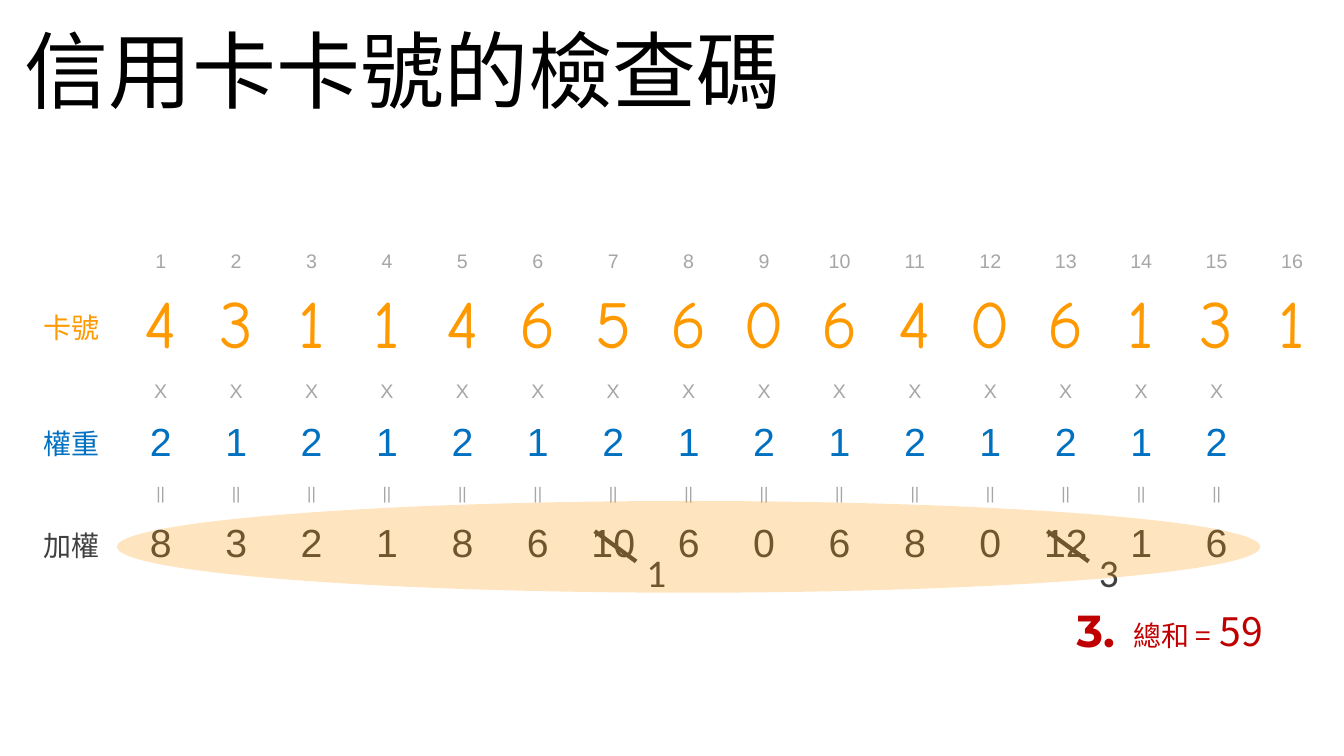
"""Build the slide on the check digit of a credit card number."""
from lxml import etree
from pptx import Presentation
from pptx.dml.color import RGBColor
from pptx.enum import shapes, text
from pptx.oxml.ns import qn
from pptx.util import Inches, Pt

COLORS = dict(black="000000", gray="A6A6A6", orange="FF9900", blue="0070C0",
              dark="404040", red="C00000")
CJK, SANS = "Noto Sans CJK SC", "Arial"

TITLE = "信用卡卡號的檢查碼"
DIGITS = [4, 3, 1, 1, 4, 6, 5, 6, 0, 6, 4, 0, 6, 1, 3, 1]
COUNT = len(DIGITS) - 1
WEIGHTS = [2 - i % 2 for i in range(COUNT)]
SCORES = [d * w for d, w in zip(DIGITS, WEIGHTS)]
SUMS = [s // 10 + s % 10 for s in SCORES]

ROWS = [
    ("", range(1, len(DIGITS) + 1), 14, SANS, "gray", 0.41),
    ("卡號", DIGITS, 48, "Comic Neue", "orange", 0.88),
    ("", ["X"] * COUNT, 14, SANS, "gray", 0.41),
    ("權重", WEIGHTS, 28, SANS, "blue", 0.6),
    ("", ["||"] * COUNT, 12, SANS, "gray", 0.41),
    ("加權", SCORES, 28, SANS, "dark", 0.6),
]
LEFT, TOP, WIDTH, HEAD = 0.19, 2.39, 13, 1.03
STEP = (WIDTH - HEAD) / len(DIGITS)


def style(font, size, name, color, bold=False):
    font.size, font.name, font.bold = Pt(size), name, bold
    font.color.rgb = RGBColor.from_string(COLORS[color])
    if name == CJK:
        latin = font._element.find(qn("a:latin"))
        east = etree.Element(qn("a:ea"), typeface=name)
        latin.addnext(east)


def label(slide, box, words, look, align=text.PP_ALIGN.CENTER):
    frame = slide.shapes.add_textbox(*map(Inches, box)).text_frame
    frame.word_wrap = True
    para = frame.paragraphs[0]
    para.text, para.alignment = words, align
    style(para.font, *look)
    return para


def add_grid(slide):
    tall = sum(row[-1] for row in ROWS)
    grid = slide.shapes.add_table(len(ROWS), len(DIGITS) + 1, Inches(LEFT),
                                  Inches(TOP), Inches(WIDTH), Inches(tall)).table
    grid.first_row = grid.horz_banding = False
    for i, col in enumerate(grid.columns):
        col.width = Inches(STEP if i else HEAD)
    for r, (name, values, size, face, color, high) in enumerate(ROWS):
        grid.rows[r].height = Inches(high)
        words = [name, *map(str, values)]
        for c in range(len(DIGITS) + 1):
            cell = grid.cell(r, c)
            cell.fill.background()
            cell.vertical_anchor = text.MSO_ANCHOR.MIDDLE
            para = cell.text_frame.paragraphs[0]
            para.alignment = text.PP_ALIGN.CENTER
            if c < len(words) and words[c]:
                para.text = words[c]
                look = (size, face, color) if c else (20, CJK, color)
                style(para.font, *look)


def add_strike(slide, col):
    x, y = LEFT + HEAD + STEP * col, 5.27
    line = slide.shapes.add_connector(
        shapes.MSO_CONNECTOR.STRAIGHT,
        *map(Inches, (x + 0.19, y, x + 0.6, y + 0.3)))
    line.line.width = Pt(3)
    line.line.color.rgb = RGBColor.from_string(COLORS["dark"])
    etree.SubElement(line._element.spPr, qn("a:effectLst"))
    label(slide, (x + 0.45, 5.39, 0.7, 0.57), str(SUMS[col]),
          (28, "Calibri", "dark"))


def add_oval(slide):
    oval = slide.shapes.add_shape(shapes.MSO_SHAPE.OVAL,
                                  *map(Inches, (1.16, 4.97, 11.34, 0.91)))
    oval.shadow.inherit = False
    oval.fill.solid()
    oval.fill.fore_color.rgb = RGBColor.from_string(COLORS["orange"])
    oval.line.fill.background()
    tint = oval._element.spPr.find(qn("a:solidFill"))[0]
    etree.SubElement(tint, qn("a:alpha"), val="25000")


def main():
    deck = Presentation()
    deck.slide_width, deck.slide_height = Inches(13.33), Inches(7.5)
    slide = deck.slides.add_slide(deck.slide_layouts[5])

    title = slide.shapes.title
    title.left, title.top, title.width, title.height = map(
        Inches, (0.14, 0.13, 7.93, 1.11))
    para = title.text_frame.paragraphs[0]
    para.text, para.alignment = TITLE, text.PP_ALIGN.LEFT
    style(para.font, 60, CJK, "black")

    add_grid(slide)
    for col, score in enumerate(SCORES):
        if score > 9:
            add_strike(slide, col)
    add_oval(slide)

    total = label(slide, (11.04, 5.98, 1.69, 0.57), "總和 =", (20, CJK, "red"))
    run = total.add_run()
    run.text = f" {sum(SUMS)}"
    run.font.size = Pt(28)
    label(slide, (10.58, 5.93, 0.87, 0.64), "3.",
          (32, "Montserrat", "red", True), text.PP_ALIGN.LEFT)
    deck.save("out.pptx")


if __name__ == "__main__":
    main()
